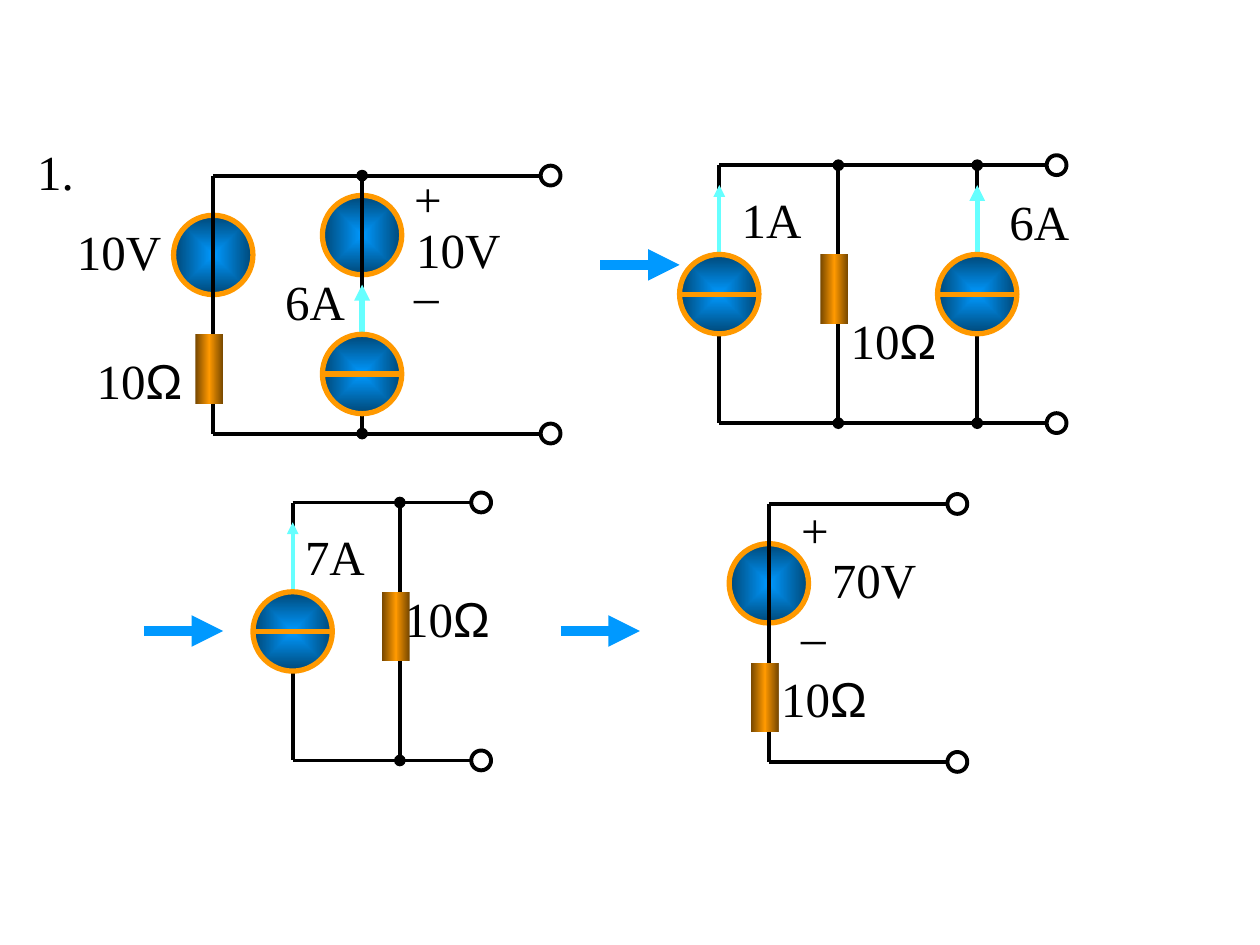
from dataclasses import dataclass

import lxml.etree
import pptx
import pptx.dml.color
import pptx.enum.shapes
import pptx.enum.text
import pptx.oxml
import pptx.oxml.ns
import pptx.util


@dataclass(frozen=True)
class Theme:
    wire: str = "000000"
    current: str = "66FFFF"
    step: str = "0099FF"
    source_dark: str = "004776"
    outline: str = "FF9900"
    resistor_dark: str = "764700"
    font: str = "Times New Roman"
    symbol_font: str = "Arial"
    size: int = 28
    wire_width: float = 2.25
    outline_width: float = 3
    step_width: float = 6


THEME = Theme()
SHAPE = pptx.enum.shapes.MSO_SHAPE

# Grid: square cells of 2 mm; a circuit is counted from its top left corner
CELL = pptx.util.Cm(0.2)
CIRCUIT_ROWS = 26
SOURCE = 8
TERMINAL = 2
RESISTOR_WIDTH, RESISTOR_HEIGHT, RESISTOR_SHIFT = 2.8, 7, -1.8
LABEL_HEIGHT = 7.2
STEP_LENGTH = 8
LABEL_WIDTHS = {"10Ω": 17, "10V": 12, "70V": 11.2, "1.": 7, "+": 4.7, "_": 4.7}
CURRENT_LABEL_WIDTH = 9.8


def cells(*counts):
    return [pptx.util.Emu(round(count * CELL)) for count in counts]


def rgb(color):
    return pptx.dml.color.RGBColor.from_string(color)


def add_line(shapes, start, end, color, width, head=None, tail=None):
    line = shapes.add_connector(pptx.enum.shapes.MSO_CONNECTOR.STRAIGHT,
                                *cells(*start, *end))
    line.line.color.rgb = rgb(color)
    line.line.width = pptx.util.Pt(width)
    outline = line.line._get_or_add_ln()
    for tag, kind in (("a:headEnd", head), ("a:tailEnd", tail)):
        if kind:
            lxml.etree.SubElement(outline, pptx.oxml.ns.qn(tag), type=kind)
    lxml.etree.SubElement(line._element.spPr, pptx.oxml.ns.qn("a:effectLst"))


def set_gradient(shape, stops, direction):
    stop_xml = "".join(
        f'<a:gs pos="{share * 1000}"><a:srgbClr val="{color}"/></a:gs>'
        for share, color in stops)
    shape.fill.gradient()
    fill = shape._element.spPr.find(pptx.oxml.ns.qn("a:gradFill"))
    fill.getparent().replace(fill, pptx.oxml.parse_xml(
        f'<a:gradFill {pptx.oxml.ns.nsdecls("a")} rotWithShape="1">'
        f"<a:gsLst>{stop_xml}</a:gsLst>{direction}</a:gradFill>"))


def add_source(shapes, x, y):
    circle = shapes.add_shape(
        SHAPE.OVAL, *cells(x - SOURCE / 2, y - SOURCE / 2, SOURCE, SOURCE))
    circle.shadow.inherit = False
    set_gradient(circle, [(0, THEME.step), (100, THEME.source_dark)],
                 '<a:path path="rect"><a:fillToRect l="50000" t="50000" '
                 'r="50000" b="50000"/></a:path>')
    circle.line.color.rgb = rgb(THEME.outline)
    circle.line.width = pptx.util.Pt(THEME.outline_width)


def add_current_source(shapes, x, y):
    add_source(shapes, x, y)
    add_line(shapes, (x - SOURCE / 2, y), (x + SOURCE / 2, y),
             THEME.outline, THEME.outline_width)


def add_resistor(shapes, x, y):
    resistor = shapes.add_shape(
        SHAPE.RECTANGLE,
        *cells(x + RESISTOR_SHIFT, y, RESISTOR_WIDTH, RESISTOR_HEIGHT))
    resistor.shadow.inherit = False
    set_gradient(resistor, [(0, THEME.resistor_dark), (50, THEME.outline),
                            (100, THEME.resistor_dark)], '<a:lin ang="0" scaled="1"/>')
    resistor.line.fill.background()


def add_rail(shapes, left, right, y):
    add_line(shapes, (left, y), (right, y), THEME.wire, THEME.wire_width)
    terminal = shapes.add_shape(
        SHAPE.OVAL, *cells(right, y - TERMINAL / 2, TERMINAL, TERMINAL))
    terminal.shadow.inherit = False
    terminal.fill.background()
    terminal.line.color.rgb = rgb(THEME.wire)
    terminal.line.width = pptx.util.Pt(THEME.wire_width)


def add_label(shapes, text, x, y):
    width = LABEL_WIDTHS.get(text, CURRENT_LABEL_WIDTH)
    label = shapes.add_textbox(*cells(x, y, width, LABEL_HEIGHT))
    label.text_frame.word_wrap = True
    label.text_frame.auto_size = pptx.enum.text.MSO_AUTO_SIZE.SHAPE_TO_FIT_TEXT
    paragraph = label.text_frame.paragraphs[0]
    paragraph.font.size = pptx.util.Pt(THEME.size)
    paragraph.font.name = THEME.font
    paragraph.font.color.rgb = rgb(THEME.wire)
    paragraph.add_run().text = text.removesuffix("Ω")
    if text.endswith("Ω"):
        ohm = paragraph.add_run()
        ohm.text = "Ω"
        ohm.font.name = THEME.symbol_font


def add_circuit(slide, origin, end, branches, labels, resistor,
                voltages=(), currents=(), arrows=()):
    """Branches are columns; the first is the plain left edge."""
    left, top = origin
    shapes = slide.shapes.add_group_shape().shapes

    for x, y in voltages:
        add_source(shapes, left + x, top + y)
    for x in branches:
        dot = "oval" if x else None
        add_line(shapes, (left + x, top), (left + x, top + CIRCUIT_ROWS),
                 THEME.wire, THEME.wire_width, dot, dot)
    for text, x, y in labels:
        add_label(shapes, text, left + x, top + y)
    for row in (0, CIRCUIT_ROWS):
        add_rail(shapes, left, left + end, top + row)
    add_resistor(shapes, left + resistor[0], top + resistor[1])
    for x, tip, base, width in arrows:
        add_line(shapes, (left + x, top + tip), (left + x, top + base),
                 THEME.current, width, head="triangle")
    for x, y in currents:
        add_current_source(shapes, left + x, top + y)


def main():
    deck = pptx.Presentation()
    deck.slide_width, deck.slide_height = pptx.util.Inches(10), pptx.util.Inches(7.5)
    slide = deck.slides.add_slide(deck.slide_layouts[6])
    thin, thick = THEME.wire_width, THEME.outline_width

    # Given circuit
    add_circuit(slide, (21.5, 17.7), 33, (0, 15),
                [("1.", -19, -4.1), ("10V", -15, 4), ("10Ω", -13, 17),
                 ("+", 19, -1.3), ("10V", 19.2, 3.8), ("_", 19, 6.7), ("6A", 6, 9)],
                resistor=(0, 16), voltages=[(0, 8), (15, 6)],
                currents=[(15, 20)], arrows=[(15, 11, 17, thick)])

    # Voltage source turned into a current source
    add_circuit(slide, (72.5, 16.65), 33, (0, 12, 26),
                [("1A", 1, 1.8), ("10Ω", 12, 14), ("6A", 28, 2)],
                resistor=(12, 9), currents=[(0, 13), (26, 13)],
                arrows=[(0, 2, 9, thin), (26, 2, 9, thick)])

    # Current sources added up
    add_circuit(slide, (29.5, 50.65), 18, (0, 10.8),
                [("7A", 0, 1.8), ("10Ω", 10, 8)],
                resistor=(10.8, 9), currents=[(0, 13)], arrows=[(0, 2, 9, thin)])

    # Final voltage source with series resistor
    add_circuit(slide, (77.5, 50.8), 18, (0,),
                [("+", 2, -1.1), ("70V", 5.1, 4), ("_", 2, 8), ("10Ω", 0, 16)],
                resistor=(0, 16), voltages=[(0, 8)])

    # Arrows between the steps
    for x, y in ((60.5, 26.7), (14.5, 63.6), (56.5, 63.6)):
        add_line(slide.shapes, (x, y), (x + STEP_LENGTH, y),
                 THEME.step, THEME.step_width, tail="triangle")

    deck.save("out.pptx")


if __name__ == "__main__":
    main()
